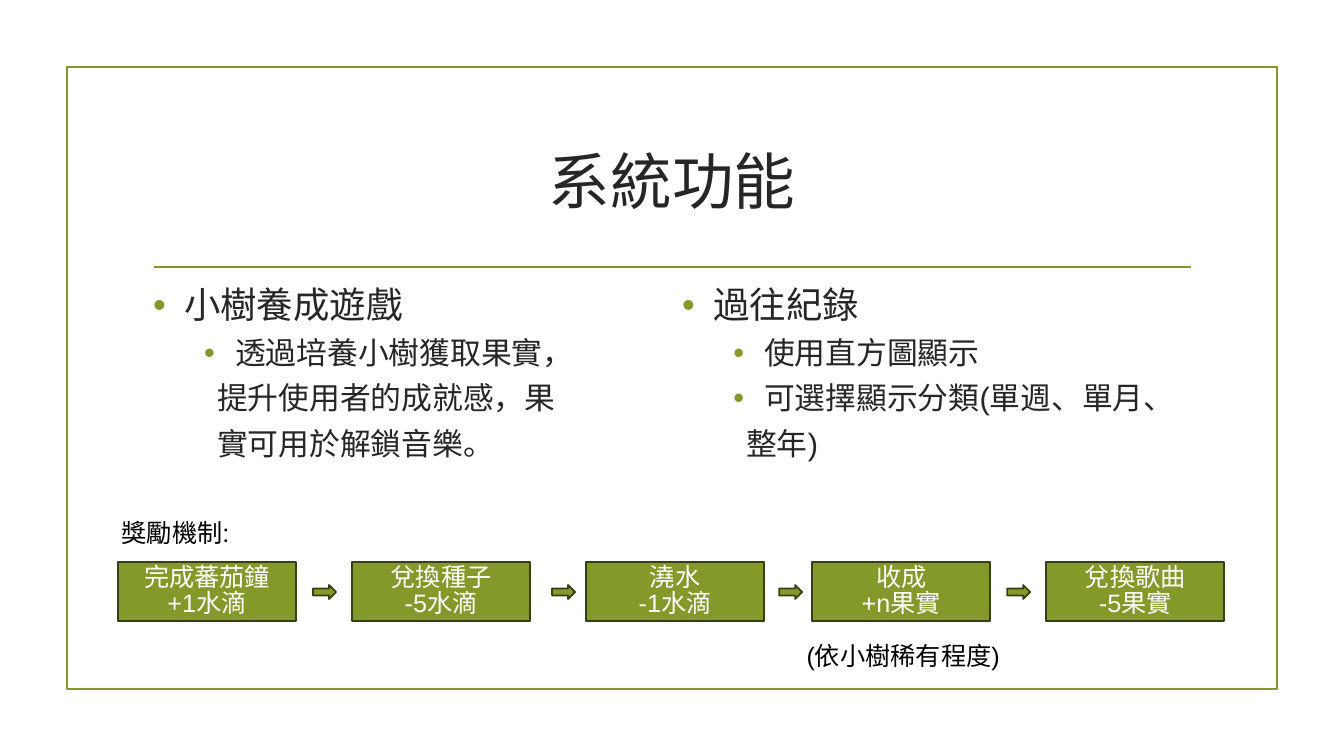
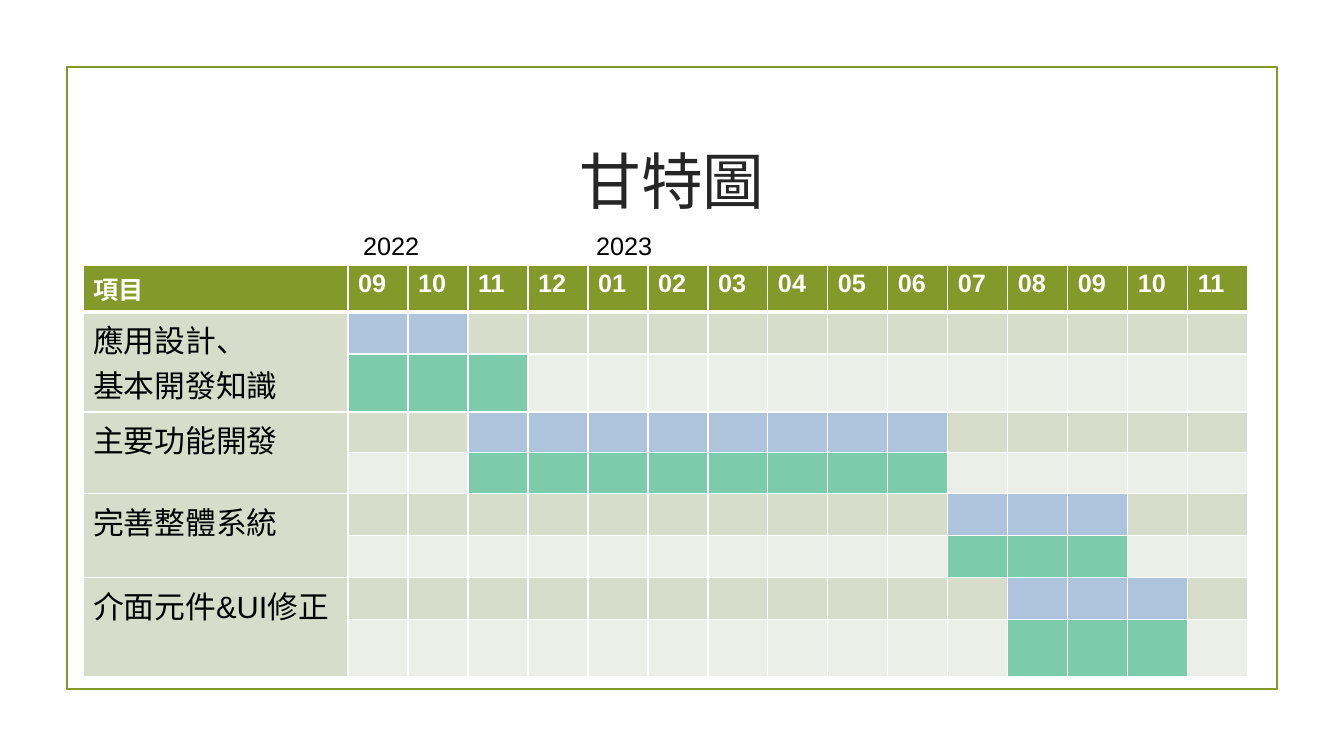
from dataclasses import dataclass
from lxml.etree import SubElement
from pptx import Presentation
from pptx.dml.color import RGBColor
from pptx.enum.shapes import MSO_CONNECTOR, MSO_SHAPE
from pptx.enum.text import MSO_ANCHOR, MSO_AUTO_SIZE, PP_ALIGN
from pptx.oxml.ns import qn
from pptx.util import Emu, Inches, Pt


@dataclass(frozen=True)
class Theme:
    font: str = "Arial"
    green: str = "83992A"
    edge: str = "374011"
    ink: str = "262626"
    black: str = "000000"
    white: str = "FFFFFF"
    band: str = "D8DDCB"
    pale: str = "ECEFE7"
    plan: str = "AEC4DC"
    done: str = "7CCCAB"
    title: int = 44
    head: int = 26
    item: int = 22
    note: int = 18
    line: float = 1.25


T = Theme()
PX = 914400 / 100.8

# Content: list kinds are "head", "item" and "cont" (continued line)
LISTS = [
    (143, [("head", "小樹養成遊戲"),
           ("item", "透過培養小樹獲取果實，"),
           ("cont", "提升使用者的成就感，果"),
           ("cont", "實可用於解鎖音樂。")]),
    (672, [("head", "過往紀錄"),
           ("item", "使用直方圖顯示"),
           ("item", "可選擇顯示分類(單週、單月、"),
           ("cont", "整年)")]),
]
KINDS = {
    "head": dict(size=T.head, left=31, hang=-31, bullet=True),
    "item": dict(size=T.item, left=82, hang=-31, bullet=True, before=8.5),
    "cont": dict(size=T.item, left=64, before=8.5),
}
STEPS = [
    (118, ["完成蕃茄鐘 +1水滴"]),
    (352, ["兌換種子", "-5水滴"]),
    (586, ["澆水", "-1水滴"]),
    (812, ["收成", "+n果實"]),
    (1046, ["兌換歌曲", "-5果實"]),
]
ARROWS = [313, 552, 779, 1007]
NOTES = [((743, 630, 320, 50), "(依小樹稀有程度)"),
         ((55, 507, 241, 50), "獎勵機制:")]

MONTHS = ["09", "10", "11", "12", "01", "02", "03", "04",
          "05", "06", "07", "08", "09", "10", "11"]
YEARS = [(353, "2022"), (586, "2023")]
# Task lines, planned months, actual months (first and last column)
TASKS = [
    (["應用設計、", "基本開發知識"], (1, 2), (1, 3)),
    (["主要功能開發"], (3, 10), (3, 10)),
    (["完善整體系統"], (11, 13), (11, 13)),
    (["介面元件&UI修正"], (12, 14), (12, 14)),
]
ROWS = [47, 42, 58, 38, 38, 42, 42, 42, 57]
NAME_W, MONTH_W = 265, 60


def px(*vals):
    return [Emu(round(v * PX)) for v in vals]


def rgb(code):
    return RGBColor.from_string(code)


def text(frame, lines, first=True, size=T.note, color=T.black, bold=False,
         align=PP_ALIGN.LEFT, anchor=None, pad=None, space=None,
         left=0, hang=0, bullet=False, before=None):
    """Write lines into a frame; first=False adds to what is there."""
    frame.word_wrap = True
    if anchor is not None:
        frame.vertical_anchor = anchor
    if pad is not None:
        frame.margin_top = frame.margin_bottom = pad
    for num, line in enumerate(lines):
        para = frame.paragraphs[0] if first and not num else frame.add_paragraph()
        props = para._p.get_or_add_pPr()
        props.set("marL", str(round(left * PX)))
        props.set("indent", str(round(hang * PX)))
        if bullet:
            tint = SubElement(props, qn("a:buClr"))
            SubElement(tint, qn("a:srgbClr"), val=T.green)
            SubElement(props, qn("a:buFont"), typeface=T.font)
            SubElement(props, qn("a:buChar"), char="•")
        else:
            SubElement(props, qn("a:buNone"))
        para.alignment = align
        para.space_before = Pt(before or 0)
        if space:
            para.line_spacing = space
        run = para.add_run()
        run.text = line
        run.font.name, run.font.size, run.font.bold = T.font, Pt(size), bold
        run.font.color.rgb = rgb(color)


def shape(slide, kind, box, fill=None, line=T.edge):
    item = slide.shapes.add_shape(kind, *px(*box))
    item.shadow.inherit = False
    if fill:
        item.fill.solid()
        item.fill.fore_color.rgb = rgb(fill)
    else:
        item.fill.background()
    item.line.color.rgb = rgb(line)
    item.line.width = Pt(T.line)
    return item


def label(slide, box, line, **form):
    text(slide.shapes.add_textbox(*px(*box)).text_frame, [line], **form)


def place(holder, box):
    holder.left, holder.top, holder.width, holder.height = px(*box)
    holder.text_frame.auto_size = MSO_AUTO_SIZE.NONE


def start(deck, layout, title):
    slide = deck.slides.add_slide(deck.slide_layouts[layout])
    place(slide.shapes.title, (143, 108, 1058, 144))
    text(slide.shapes.title.text_frame, [title], size=T.title, color=T.ink,
         align=PP_ALIGN.CENTER, anchor=MSO_ANCHOR.MIDDLE)
    return slide


def dress(deck, slide):
    """Draw the frame and rule, then hand them to the slide master."""
    frame = shape(slide, MSO_SHAPE.RECTANGLE, (67, 67, 1210, 622), line=T.green)
    rule = slide.shapes.add_connector(MSO_CONNECTOR.STRAIGHT,
                                      *px(154, 267, 1191, 267))
    rule.line.color.rgb = rgb(T.green)
    rule.line.width = Pt(T.line)
    SubElement(rule._element.spPr, qn("a:effectLst"))
    tree = deck.slide_master.shapes._spTree
    for spot, item in enumerate((frame, rule), 2):
        tree.insert(spot, item._element)


def paint(cell, fill, low=1):
    """Give a cell white borders and a plain fill."""
    props = cell._tc.get_or_add_tcPr()
    for side, wide in (("L", 1), ("R", 1), ("T", 1), ("B", low)):
        edge = SubElement(props, qn("a:ln" + side), w=str(Pt(wide)))
        solid = SubElement(edge, qn("a:solidFill"))
        SubElement(solid, qn("a:srgbClr"), val=T.white)
    cell.fill.solid()
    cell.fill.fore_color.rgb = rgb(fill)


def features(deck):
    slide = start(deck, 3, "系統功能")
    dress(deck, slide)
    # Two lists
    for spot, (x, lines) in enumerate(LISTS, 1):
        body = slide.placeholders[spot]
        place(body, (x, 282, 529, 366))
        for num, (kind, line) in enumerate(lines):
            text(body.text_frame, [line], first=num == 0, color=T.ink,
                 space=0.9, anchor=MSO_ANCHOR.TOP, **KINDS[kind])
    # Reward flow
    for x, lines in STEPS:
        step = shape(slide, MSO_SHAPE.RECTANGLE, (x, 562, 178, 59), T.green)
        text(step.text_frame, lines, color=T.white, align=PP_ALIGN.CENTER,
             anchor=MSO_ANCHOR.MIDDLE, space=0.86)
    for x in ARROWS:
        shape(slide, MSO_SHAPE.RIGHT_ARROW, (x, 585, 23, 14), T.green)
    for box, line in NOTES:
        label(slide, box, line, align=PP_ALIGN.CENTER, pad=Inches(0.1))


def gantt(deck):
    slide = start(deck, 5, "甘特圖")
    wide = NAME_W + MONTH_W * len(MONTHS)
    grid = slide.shapes.add_table(len(ROWS), len(MONTHS) + 1,
                                  *px(83, 265, wide, sum(ROWS))).table
    for num, col in enumerate(grid.columns):
        col.width = px(MONTH_W if num else NAME_W)[0]
    for row, high in zip(grid.rows, px(*ROWS)):
        row.height = high
    # Header
    for col, name in enumerate(["項目"] + MONTHS):
        paint(grid.cell(0, col), T.green, low=3)
        text(grid.cell(0, col).text_frame, [name], color=T.white, bold=True)
    # Each task: a planned row over an actual row
    for num, (lines, plan, done) in enumerate(TASKS):
        top = 1 + 2 * num
        name = grid.cell(top, 0)
        name.merge(grid.cell(top + 1, 0))
        text(name.text_frame, lines, size=T.item)
        bars = ((plan, T.plan, T.band), (done, T.done, T.pale))
        for row, ((begin, end), full, blank) in enumerate(bars, top):
            paint(grid.cell(row, 0), T.band)
            for col in range(1, len(MONTHS) + 1):
                paint(grid.cell(row, col), full if begin <= col <= end else blank)
    for x, year in YEARS:
        label(slide, (x, 225, 149, 40), year)


def main():
    deck = Presentation()
    deck.slide_width, deck.slide_height = Inches(13.33), Inches(7.5)
    features(deck)
    gantt(deck)
    deck.save("out.pptx")


if __name__ == "__main__":
    main()
